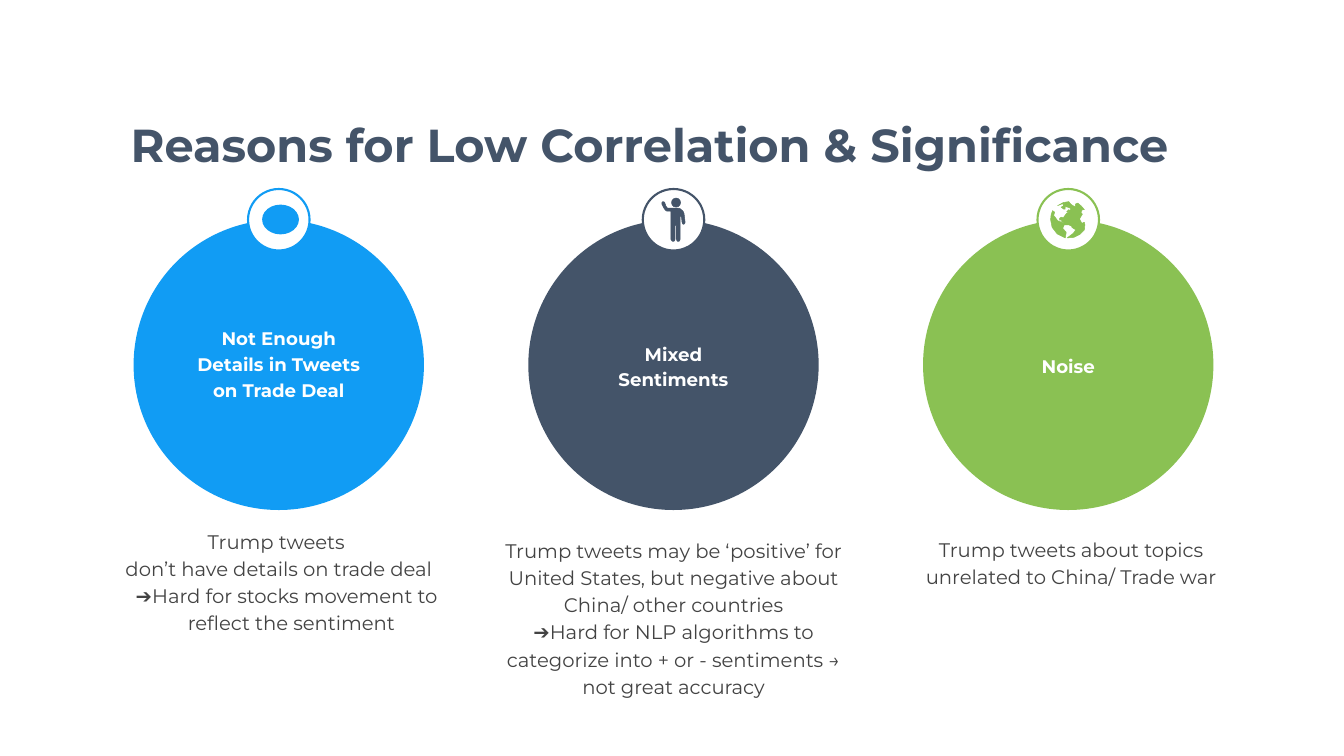
from dataclasses import dataclass

from lxml import etree
from pptx import Presentation
from pptx.dml.color import RGBColor
from pptx.enum.shapes import MSO_SHAPE as Shape
from pptx.enum.text import MSO_ANCHOR as Anchor, PP_ALIGN as Align
from pptx.oxml.ns import qn
from pptx.util import Inches, Pt


@dataclass(frozen=True)
class Theme:
    font: str = "Montserrat"
    white: str = "FFFFFF"
    blue: str = "119CF4"
    slate: str = "445469"
    green: str = "8AC153"
    body: str = "434343"
    title_size: int = 66
    label_size: int = 26
    caption_size: int = 28
    badge_line: float = 3
    icon_line: float = 0.75


class SlideBuilder:
    def __init__(self, page, theme):
        self.page = page
        self.theme = theme

    def paint(self, shape, fill, line=None, line_width=0):
        shape.shadow.inherit = False
        shape.fill.solid()
        shape.fill.fore_color.rgb = RGBColor.from_string(fill)
        if line:
            shape.line.color.rgb = RGBColor.from_string(line)
            shape.line.width = Pt(line_width)
        else:
            shape.line.fill.background()

    def ellipse(self, left, top, width, height, fill, line=None, line_width=0):
        shape = self.page.shapes.add_shape(
            Shape.OVAL, Inches(left), Inches(top), Inches(width), Inches(height))
        self.paint(shape, fill, line, line_width)

    def outline(self, points, color):
        # The builder rounds to whole units, so the points go in as EMU
        corners = [(Inches(x), Inches(y)) for x, y in points]
        builder = self.page.shapes.build_freeform(*corners[0])
        builder.add_line_segments(corners[1:], close=True)
        self.paint(builder.convert_to_shape(), color, color, self.theme.icon_line)

    def text(self, box, lines, size, color, bold=False, spacing=1.15,
             inset=(0.1, 0.05), anchor=Anchor.TOP, arrow_indent=None):
        """Centred text; with arrow_indent the last paragraph gets an arrow bullet."""
        frame = self.page.shapes.add_textbox(*map(Inches, box)).text_frame
        frame.word_wrap = True
        frame.vertical_anchor = anchor
        frame.margin_left = frame.margin_right = Inches(inset[0])
        frame.margin_top = frame.margin_bottom = Inches(inset[1])
        frame.text = "\n".join(lines)
        for para in frame.paragraphs:
            para.alignment = Align.CENTER
            para.line_spacing = spacing
            for span in para.runs:
                span.font.name = self.theme.font
                span.font.size = Pt(size)
                span.font.bold = bold
                span.font.color.rgb = RGBColor.from_string(color)
        if arrow_indent is not None:
            self.arrow_bullet(frame.paragraphs[-1], arrow_indent, color)

    def arrow_bullet(self, para, indent, color):
        props = para._p.get_or_add_pPr()
        props.set("marL", str(Inches(indent)))
        props.set("indent", str(Inches(-0.19)))
        bullet_color = etree.SubElement(props, qn("a:buClr"))
        etree.SubElement(bullet_color, qn("a:srgbClr")).set("val", color)
        etree.SubElement(props, qn("a:buFont")).set("typeface", self.theme.font)
        etree.SubElement(props, qn("a:buChar")).set("char", "➔")


@dataclass(frozen=True)
class Reason:
    color: str
    label: str
    label_width: float
    label_spacing: float
    label_anchor: Anchor
    caption: tuple
    caption_box: tuple
    caption_inset: tuple = (0.1, 0.1)
    arrow_indent: float = None


PERSON_BODY = [
    (13.59, 4.41), (13.57, 4.24), (13.55, 4.19), (13.49, 4.14), (13.45, 4.13),
    (13.24, 4.13), (13.21, 4.09), (13.19, 4.03), (13.18, 4.01), (13.15, 4),
    (13.13, 4.02), (13.13, 4.05), (13.17, 4.13), (13.2, 4.17), (13.23, 4.19),
    (13.31, 4.19), (13.31, 4.75), (13.33, 4.78), (13.35, 4.79), (13.38, 4.78),
    (13.39, 4.75), (13.39, 4.47), (13.42, 4.47), (13.42, 4.75), (13.43, 4.78),
    (13.45, 4.79), (13.48, 4.78), (13.49, 4.75), (13.49, 4.24), (13.52, 4.32),
    (13.53, 4.41), (13.54, 4.44), (13.56, 4.45), (13.58, 4.44)]

GLOBE_LAND = [
    (21.52, 4.46), (21.51, 4.41), (21.46, 4.43), (21.42, 4.36), (21.42, 4.33),
    (21.47, 4.25), (21.44, 4.21), (21.47, 4.16), (21.51, 4.16), (21.45, 4.09),
    (21.38, 4.03), (21.33, 4.05), (21.33, 4.1), (21.28, 4.08), (21.24, 4.05),
    (21.2, 4), (21.09, 4.02), (20.98, 4.08), (21.08, 4.04), (21.1, 4.08),
    (21.05, 4.11), (21.1, 4.15), (21.13, 4.15), (21.13, 4.1), (21.18, 4.11),
    (21.23, 4.13), (21.24, 4.18), (21.28, 4.2), (21.23, 4.18), (21.2, 4.16),
    (21.16, 4.2), (21.21, 4.2), (21.16, 4.23), (21.1, 4.31), (21.11, 4.33),
    (21.05, 4.31), (21.02, 4.33), (21.02, 4.37), (21.06, 4.36), (21.06, 4.39),
    (21.1, 4.41), (21.11, 4.44), (21.06, 4.41), (20.98, 4.38), (20.93, 4.31),
    (20.9, 4.28), (20.92, 4.21), (20.88, 4.18), (20.85, 4.26), (20.84, 4.36),
    (20.87, 4.51), (20.97, 4.64), (21.13, 4.72), (21.15, 4.61), (21.08, 4.53),
    (21.11, 4.46), (21.2, 4.46), (21.26, 4.49), (21.26, 4.51), (21.34, 4.56),
    (21.29, 4.63), (21.21, 4.69), (21.17, 4.72), (21.3, 4.71), (21.42, 4.65),
    (21.51, 4.56)]


def main():
    theme = Theme()
    deck = Presentation()
    deck.slide_width, deck.slide_height = Inches(26.66), Inches(15)
    page = deck.slides.add_slide(deck.slide_layouts[6])
    slide = SlideBuilder(page, theme)

    # Title
    slide.text((1.23, 1.68, 23.31, 1.33), ["Reasons for Low Correlation & Significance"],
               theme.title_size, theme.slate, bold=True, spacing=1.52)

    reasons = [
        Reason(theme.blue, "Not Enough Details in Tweets on Trade Deal", 3.49, 1.2, Anchor.TOP,
               ("Trump tweets ", "don’t have details on trade deal",
                "Hard for stocks movement to reflect the sentiment"),
               (1.86, 10.35, 7.34, 3.28), arrow_indent=0.5),
        Reason(theme.slate, "Mixed Sentiments", 2.91, 1.15, Anchor.MIDDLE,
               ("Trump tweets may be ‘positive’ for United States, "
                "but negative about China/ other countries",
                "Hard for NLP algorithms to categorize into + or - sentiments "
                "→ not great accuracy"),
               (9.69, 10.51, 7.34, 3.47), (0.24, 0.12), arrow_indent=0),
        Reason(theme.green, "Noise", 2.11, 1.15, Anchor.MIDDLE,
               ("Trump tweets about topics unrelated to China/ Trade war",),
               (18.14, 10.51, 6.21, 3.28)),
    ]

    # Columns: disc, badge and label share one centre line
    first_center, pitch, disc, badge = 5.53, 7.83, 5.76, 1.22
    for column, reason in enumerate(reasons):
        center = first_center + column * pitch
        slide.ellipse(center - disc / 2, 4.36, disc, disc, reason.color)
        slide.ellipse(center - badge / 2, 3.75, badge, badge,
                      theme.white, reason.color, theme.badge_line)
        slide.text((center - reason.label_width / 2, 6.35, reason.label_width, 1.78),
                   [reason.label], theme.label_size, theme.white, bold=True,
                   spacing=reason.label_spacing, anchor=reason.label_anchor)
        slide.text(reason.caption_box, reason.caption, theme.caption_size, theme.body,
                   inset=reason.caption_inset, arrow_indent=reason.arrow_indent)

    # Badge icons: plain mark, person, globe
    slide.ellipse(5.2, 4.06, 0.73, 0.59, theme.blue)
    slide.ellipse(13.32, 3.93, 0.18, 0.18, theme.slate, theme.slate, theme.icon_line)
    slide.outline(PERSON_BODY, theme.slate)
    slide.outline(GLOBE_LAND, theme.green)

    deck.save("out.pptx")


if __name__ == "__main__":
    main()
